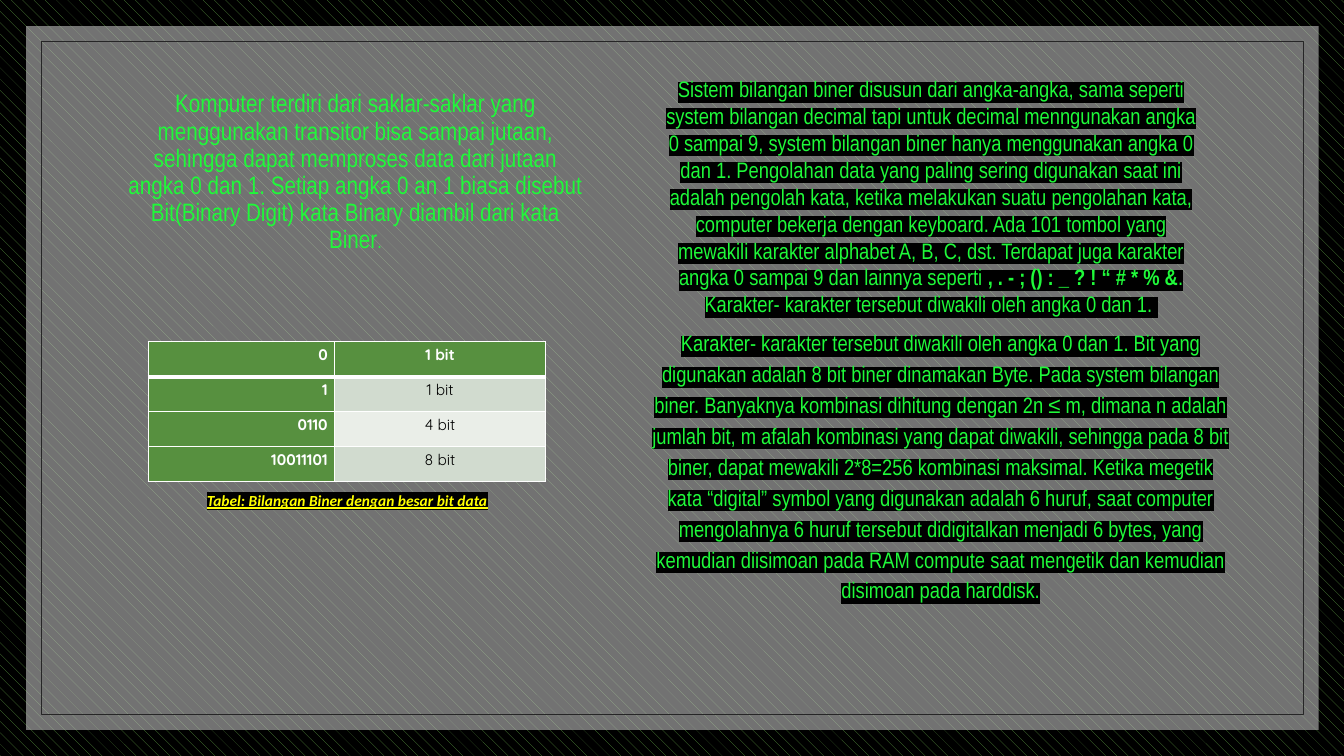
"""Build the slide about binary numbers and their size in bits."""
import pptx
import pptx.dml.color
import pptx.enum.dml
import pptx.enum.shapes
import pptx.enum.text
import pptx.oxml
import pptx.oxml.ns
import pptx.util

RGB = pptx.dml.color.RGBColor
ALIGN = pptx.enum.text.PP_ALIGN
ANCHOR = pptx.enum.text.MSO_ANCHOR
Pt = pptx.util.Pt
Inches = pptx.util.Inches

BLACK = RGB(0x00, 0x00, 0x00)
WHITE = RGB(0xFF, 0xFF, 0xFF)
GREEN = RGB(0x57, 0x90, 0x3F)
NEON = RGB(0x1F, 0xF9, 0x39)
YELLOW = RGB(0xFF, 0xFF, 0x00)
SILVER = RGB(0xBF, 0xBF, 0xBF)
CHARCOAL = RGB(0x26, 0x26, 0x26)
BAND_DARK = RGB(0xD1, 0xDB, 0xCF)
BAND_LIGHT = RGB(0xEA, 0xEE, 0xE8)

WIDTH, HEIGHT = Inches(13.33), Inches(7.5)

TITLE = {"name": "Arial Narrow", "size": Pt(18)}
BODY = {"name": "Arial Narrow", "size": Pt(16)}
BODY_BOLD = {**BODY, "bold": True}
CAPTION = {"name": "Calibri", "size": Pt(11), "bold": True, "italic": True,
           "underline": True}
CELL = {"name": "Quicksand", "size": Pt(11), "bold": False}
CELL_BOLD = {**CELL, "bold": True}

INTRO = (
    "Komputer terdiri dari saklar-saklar yang menggunakan transitor bisa "
    "sampai jutaan, sehingga dapat memproses data dari jutaan angka 0 dan 1. "
    "Setiap angka 0 an 1 biasa disebut Bit(Binary Digit) kata Binary diambil "
    "dari kata Biner")
SYSTEM = (
    "Sistem bilangan biner disusun dari angka-angka, sama seperti system "
    "bilangan decimal tapi untuk decimal menngunakan angka 0 sampai 9, system "
    "bilangan biner hanya menggunakan angka 0 dan 1. Pengolahan data yang "
    "paling sering digunakan saat ini adalah pengolah kata, ketika melakukan "
    "suatu pengolahan kata, computer bekerja dengan keyboard. Ada 101 tombol "
    "yang mewakili karakter alphabet A, B, C, dst. Terdapat juga karakter "
    "angka 0 sampai 9 dan lainnya seperti")
SYMBOLS = " , . - ; () : _ ? ! “ # * % &"
SYSTEM_END = ". Karakter- karakter tersebut diwakili oleh angka 0 dan 1. "
BYTES = (
    "Karakter- karakter tersebut diwakili oleh angka 0 dan 1. Bit yang "
    "digunakan adalah 8 bit biner dinamakan Byte. Pada system bilangan biner. "
    "Banyaknya kombinasi dihitung dengan 2n ≤ m, dimana n adalah jumlah bit, "
    "m afalah kombinasi yang dapat diwakili, sehingga pada 8 bit biner, dapat "
    "mewakili 2*8=256 kombinasi maksimal. Ketika megetik kata “digital” "
    "symbol yang digunakan adalah 6 huruf, saat computer mengolahnya 6 huruf "
    "tersebut didigitalkan menjadi 6 bytes, yang kemudian diisimoan pada RAM "
    "compute saat mengetik dan kemudian disimoan pada harddisk.")
BITS = [("0", "1 bit"), ("1", "1 bit"), ("0110", "4 bit"), ("10011101", "8 bit")]


def area(left, top, width, height):
    """Turn percentages of the slide into lengths."""
    return [int(share * full / 100) for share, full in
            zip((left, top, width, height), (WIDTH, HEIGHT) * 2)]


def apply(target, formats):
    """Set every attribute in a dict of format values."""
    for name, value in formats.items():
        setattr(target, name, value)


def element(xml):
    """Parse a drawing element whose tag takes the namespace slot."""
    return pptx.oxml.parse_xml(xml.format(ns=pptx.oxml.ns.nsdecls("a")))


def add_run(p, text, formats, color, highlight=None):
    """Add a formatted run to a paragraph."""
    r = p.add_run()
    r.text = text
    if highlight is not None:
        r._r.get_or_add_rPr().append(element(
            '<a:highlight {ns}><a:srgbClr val="%s"/></a:highlight>'
            % str(highlight)))
    apply(r.font, formats)
    r.font.color.rgb = color


def add_text(s, place, runs, color, highlight=None, frame=None, paragraph=None):
    """Add a centred text box of one paragraph."""
    tf = s.shapes.add_textbox(*area(*place)).text_frame
    apply(tf, {"word_wrap": True, **(frame or {})})
    p = tf.paragraphs[0]
    apply(p, {"alignment": ALIGN.CENTER, **(paragraph or {})})
    for text, formats in runs:
        add_run(p, text, formats, color, highlight)


def add_rectangle(s, place):
    """Add a rectangle without shadow, fill or line."""
    sp = s.shapes.add_shape(
        pptx.enum.shapes.MSO_SHAPE.RECTANGLE, *area(*place))
    sp.shadow.inherit = False
    sp.fill.background()
    sp.line.fill.background()
    return sp


def add_backdrop(s):
    """Add the pattern, the translucent panel and its thin frame."""
    fill = s.background.fill
    fill.patterned()
    fill.pattern = pptx.enum.dml.MSO_PATTERN.SHINGLE
    fill.fore_color.rgb = GREEN
    fill.back_color.rgb = BLACK
    panel = add_rectangle(s, (1.95, 3.47, 96.17, 93.07))
    panel.fill.solid()
    panel.fill.fore_color.rgb = SILVER
    clr = panel._element.spPr.find(".//" + pptx.oxml.ns.qn("a:srgbClr"))
    clr.append(element('<a:alpha {ns} val="60000"/>'))
    frame = add_rectangle(s, (3.08, 5.47, 93.92, 89.07))
    frame.line.color.rgb = CHARCOAL
    frame.line.width = Pt(0.5)


def add_borders(cell, widths):
    """Draw white cell borders of the given widths in points."""
    tcPr = cell._tc.get_or_add_tcPr()
    for side, width in zip("LRTB", widths):
        tcPr.append(element(
            '<a:ln%s {ns} w="%d"><a:solidFill><a:srgbClr val="%s"/>'
            '</a:solidFill></a:ln%s>' % (side, Pt(width), WHITE, side)))


def fill_cell(cell, text, row, col):
    """Write and format one cell of the bit table."""
    strong = row == 0 or col == 0
    apply(cell, {"margin_left": Inches(0.07), "margin_right": Inches(0.07),
                 "margin_top": 0, "margin_bottom": 0})
    add_borders(cell, (1, 1, 3 if row == 1 else 1, 3 if row == 0 else 1))
    cell.fill.solid()
    cell.fill.fore_color.rgb = (
        GREEN if strong else BAND_DARK if row % 2 else BAND_LIGHT)
    p = cell.text_frame.paragraphs[0]
    apply(p, {"alignment": ALIGN.CENTER if col else ALIGN.RIGHT,
              "line_spacing": 1.15})
    add_run(p, text, CELL_BOLD if strong else CELL, WHITE if strong else BLACK)


def add_bit_table(s, place):
    """Add the table of binary numbers and their size."""
    table = s.shapes.add_table(len(BITS), 2, *area(*place)).table
    apply(table, {"horz_banding": False})
    for column, width in zip(table.columns, (1.85, 2.09)):
        column.width = Inches(width)
    for row, texts in enumerate(BITS):
        for col, text in enumerate(texts):
            fill_cell(table.cell(row, col), text, row, col)


def main():
    """Build and save the slide."""
    prs = pptx.Presentation()
    apply(prs, {"slide_width": WIDTH, "slide_height": HEIGHT})
    s = prs.slides.add_slide(prs.slide_layouts[6])
    add_backdrop(s)
    add_text(s, (8.78, 9.33, 35.33, 30.13),
             [(INTRO, TITLE), (".", {**TITLE, "size": Pt(14)})], NEON,
             frame={"vertical_anchor": ANCHOR.MIDDLE,
                    "margin_bottom": Inches(0.28)},
             paragraph={"line_spacing": 0.9})
    add_bit_table(s, (11.03, 45.2, 29.56, 18.53))
    add_text(s, (12.6, 64.27, 26.48, 7.87),
             [("Tabel: Bilangan Biner dengan besar bit data", CAPTION)],
             YELLOW, BLACK)
    add_text(s, (48.54, 9.33, 41.49, 30.13),
             [(SYSTEM, BODY), (SYMBOLS, BODY_BOLD), (SYSTEM_END, BODY)],
             NEON, BLACK)
    add_text(s, (47.64, 42.4, 44.71, 34), [(BYTES, BODY)], NEON, BLACK,
             paragraph={"line_spacing": 1.15, "space_after": Pt(10)})
    prs.save("out.pptx")


if __name__ == "__main__":
    main()
